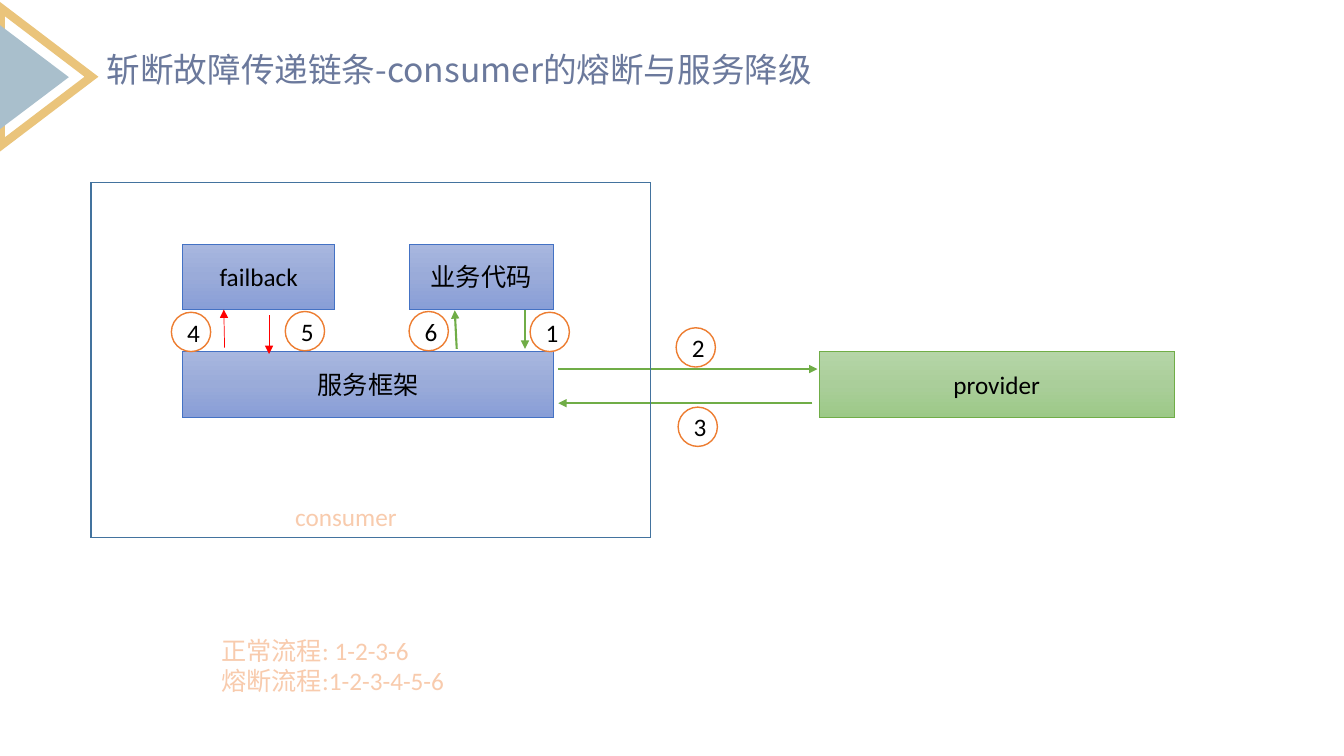
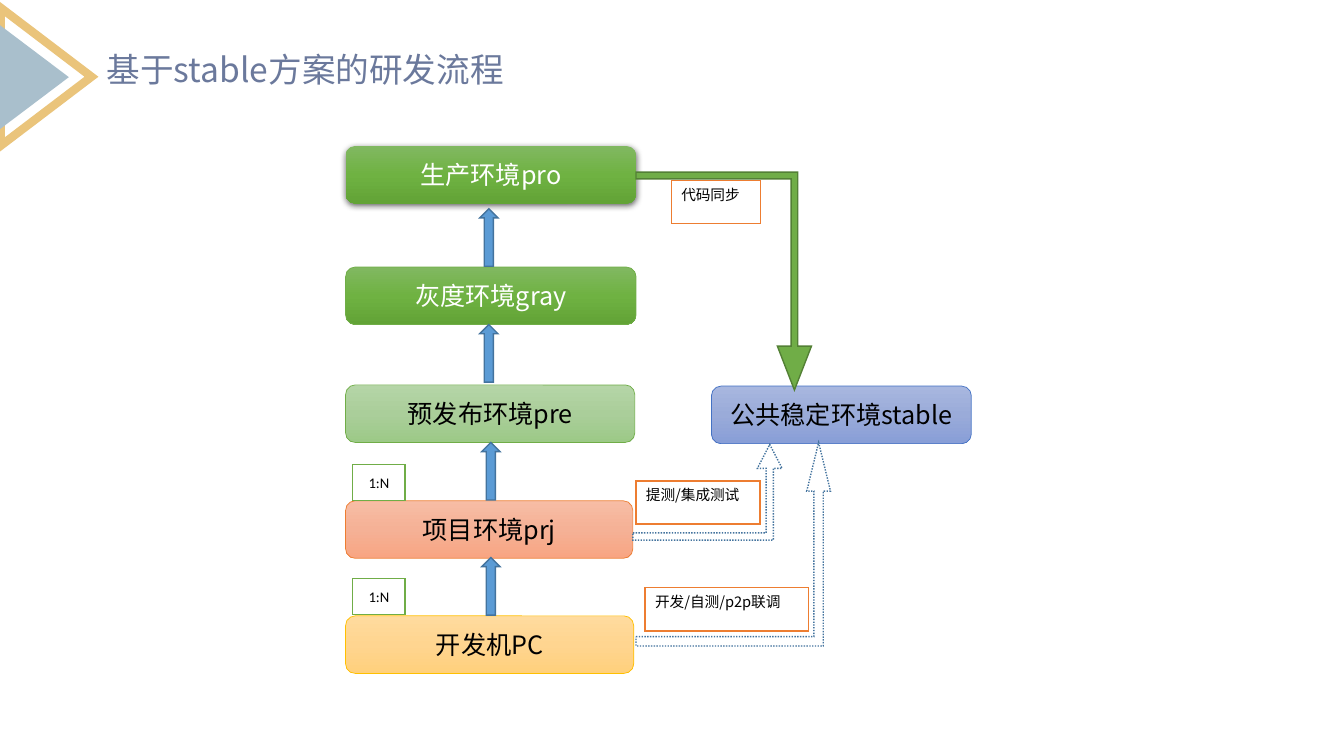
from copy import deepcopy

from lxml.etree import SubElement
from pptx import Presentation
from pptx.dml.color import RGBColor
from pptx.enum.dml import MSO_LINE
from pptx.enum.shapes import MSO_CONNECTOR, MSO_SHAPE
from pptx.enum.text import MSO_ANCHOR, MSO_AUTO_SIZE, PP_ALIGN
from pptx.oxml.ns import qn
from pptx.util import Cm, Pt

SANS = "Noto Sans CJK SC"
LATIN = "Calibri"
BLACK, WHITE, RED = "000000", "FFFFFF", "FF0000"
GREEN, ORANGE, BLUE = "70AD47", "ED7D31", "43739E"
PEACH, TITLE = "F8CBAD", "6B799C"
SOFT_BLUE = (("A8B7DF", "9AABD9", "889ED7"), "4472C4")
SOFT_GREEN = (("B5D5A7", "AACE9A", "9CC987"), GREEN)
SOFT_ORANGE = (("F7BDA5", "F5B196", "F8A582"), ORANGE)
SOFT_YELLOW = (("FFDB9E", "FFD590", "FFD07C"), "FFC000")
STRONG_GREEN = (("81B861", "6FB242", "62A336"), GREEN)


def rgb(value):
    return RGBColor.from_string(value)


class Deck:
    def __init__(self):
        self.prs = Presentation()
        self.prs.slide_width = Cm(33.87)
        self.prs.slide_height = Cm(19.05)
        self.s = None

    def slide(self, title, width):
        self.s = self.prs.slides.add_slide(self.prs.slide_layouts[6])
        frame = self.shape(MSO_SHAPE.ISOSCELES_TRIANGLE, (-0.58, 0.79, 3.48, 2.29),
                           line="EAC47B", weight=6)
        core = self.shape(MSO_SHAPE.ISOSCELES_TRIANGLE, (-0.46, 1.07, 2.64, 1.75),
                          fill="A9BFCC")
        for sp in (frame, core):
            sp.rotation = 90
        self.textbox(title, (2.44, 1.12, width, 1.27), 24, SANS, TITLE)

    def set_text(self, tf, text, size, font, color, align=None, outline=None):
        tf.word_wrap = True
        tf.text = text
        for p in tf.paragraphs:
            p.alignment = align
            for r in p.runs:
                r.font.size = Pt(size)
                r.font.name = font
                r.font.color.rgb = rgb(color)
                props = r.font._element
                SubElement(props, qn("a:ea"), typeface=SANS)
                if outline:
                    ln = SubElement(props, qn("a:ln"), w=str(Pt(1.75)))
                    fill = SubElement(ln, qn("a:solidFill"))
                    SubElement(fill, qn("a:srgbClr"), val=outline)
                    props.insert(0, ln)

    def textbox(self, text, box, size, font, color, outline=None):
        tf = self.s.shapes.add_textbox(*map(Cm, box)).text_frame
        self.set_text(tf, text, size, font, color, outline=outline)
        tf.auto_size = MSO_AUTO_SIZE.SHAPE_TO_FIT_TEXT

    def shape(self, kind, box, fill=None, line=None, weight=1, dash=None):
        sp = self.s.shapes.add_shape(kind, *map(Cm, box))
        sp.shadow.inherit = False
        if fill is None:
            sp.fill.background()
        elif isinstance(fill, str):
            sp.fill.solid()
            sp.fill.fore_color.rgb = rgb(fill)
        else:
            self.gradient(sp, fill)
        if line is None:
            sp.line.fill.background()
        else:
            sp.line.color.rgb = rgb(line)
            sp.line.width = Pt(weight)
            if dash:
                sp.line.dash_style = dash
            ln = sp.element.spPr.find(qn("a:ln"))
            SubElement(ln, qn("a:miter"), lim="800000")
        return sp

    def gradient(self, sp, colors):
        sp.fill.gradient()
        sp.fill.gradient_angle = 270
        stops = sp.element.spPr.find(".//" + qn("a:gsLst"))
        stops.insert(1, deepcopy(stops[0]))
        for i, (stop, color) in enumerate(zip(sp.fill.gradient_stops, colors)):
            stop.position = i / 2
            stop.color.rgb = rgb(color)

    def block(self, text, box, style, font=LATIN, color=BLACK, kind=MSO_SHAPE.RECTANGLE):
        fill, line = style
        sp = self.shape(kind, box, fill, line, 0.5)
        self.set_text(sp.text_frame, text, 18, font, color, PP_ALIGN.CENTER)
        return sp

    def rounded(self, text, box, style, color=BLACK):
        return self.block(text, box, style, SANS, color, MSO_SHAPE.ROUNDED_RECTANGLE)

    def step(self, number, x, y):
        sp = self.shape(MSO_SHAPE.OVAL, (x, y, 0.99, 0.99), WHITE, ORANGE)
        self.set_text(sp.text_frame, number, 18, LATIN, BLACK, PP_ALIGN.CENTER)

    def label(self, text, box):
        sp = self.shape(MSO_SHAPE.RECTANGLE, box, WHITE, ORANGE)
        sp.text_frame.vertical_anchor = MSO_ANCHOR.TOP
        self.set_text(sp.text_frame, text, 10.5, SANS, BLACK, PP_ALIGN.JUSTIFY)

    def ratio(self, text, x, y):
        sp = self.shape(MSO_SHAPE.RECTANGLE, (x, y, 1.32, 0.91), WHITE, GREEN)
        self.set_text(sp.text_frame, text, 10.5, LATIN, BLACK, PP_ALIGN.CENTER)

    def arrow(self, points, color, weight):
        c = self.s.shapes.add_connector(MSO_CONNECTOR.STRAIGHT, *map(Cm, points))
        c.line.color.rgb = rgb(color)
        c.line.width = Pt(weight)
        props = c.element.spPr
        SubElement(props.find(qn("a:ln")), qn("a:tailEnd"), type="triangle")
        SubElement(props, qn("a:effectLst"))

    def bent_arrow(self, box, adjustments, fill, line, dash=None, flip=False):
        sp = self.shape(MSO_SHAPE.BENT_UP_ARROW, box, fill, line, dash=dash)
        for i, value in enumerate(adjustments):
            sp.adjustments[i] = value
        if flip:
            sp.element.spPr.find(qn("a:xfrm")).set("flipV", "1")

    def drop_shadow(self, sp):
        effects = sp.element.spPr.find(qn("a:effectLst"))
        shadow = SubElement(effects, qn("a:outerShdw"), blurRad=str(Pt(4.5)),
                            dist=str(Pt(1.5)), dir="5400000", algn="ctr", rotWithShape="0")
        color = SubElement(shadow, qn("a:srgbClr"), val=BLACK)
        SubElement(color, qn("a:alpha"), val="63000")


def circuit_breaker(deck):
    deck.slide("斩断故障传递链条-consumer的熔断与服务降级", 18.59)
    for text, box, style in (
        ("provider", (20.65, 8.86, 8.94, 1.65), SOFT_GREEN),
        ("业务代码", (10.31, 6.15, 3.63, 1.65), SOFT_BLUE),
        ("服务框架", (4.6, 8.86, 9.35, 1.65), SOFT_BLUE),
        ("failback", (4.6, 6.15, 3.84, 1.65), SOFT_BLUE),
    ):
        deck.block(text, box, style)
    for points in ((14.07, 9.3, 20.6, 9.3), (20.47, 10.16, 14.07, 10.16),
                   (13.23, 7.82, 13.23, 8.79), (11.51, 8.79, 11.46, 7.82)):
        deck.arrow(points, GREEN, 1.5)
    for points in ((5.66, 8.76, 5.64, 7.8), (6.78, 7.95, 6.78, 8.92)):
        deck.arrow(points, RED, 0.5)
    deck.shape(MSO_SHAPE.RECTANGLE, (2.29, 4.6, 14.1, 8.94), line=BLUE)
    deck.textbox("consumer", (7.19, 12.52, 3.63, 1.02), 18, LATIN, PEACH, ORANGE)
    for number, x, y in (("2", 17.04, 8.26), ("1", 13.36, 7.87), ("3", 17.09, 10.26),
                         ("6", 10.31, 7.85), ("4", 4.32, 7.87), ("5", 7.19, 7.85)):
        deck.step(number, x, y)
    deck.textbox("正常流程: 1-2-3-6\n熔断流程:1-2-3-4-5-6", (5.33, 15.88, 20.27, 1.8),
                 18, LATIN, PEACH, ORANGE)


def stable_workflow(deck):
    deck.slide("基于stable方案的研发流程", 11.33)
    left, height = 8.71, 1.45
    pro = deck.rounded("生产环境pro", (left, 3.68, 7.32, height),
                       (STRONG_GREEN[0], None), WHITE)
    deck.drop_shadow(pro)
    for text, y, width, style, color in (
        ("灰度环境gray", 6.73, 7.32, STRONG_GREEN, WHITE),
        ("预发布环境pre", 9.7, 7.29, SOFT_GREEN, BLACK),
        ("项目环境prj", 12.62, 7.24, SOFT_ORANGE, BLACK),
        ("开发机PC", 15.52, 7.26, SOFT_YELLOW, BLACK),
    ):
        deck.rounded(text, (left, y, width, height), style, color)
    deck.rounded("公共稳定环境stable", (17.93, 9.73, 6.55, height), SOFT_BLUE)
    for box, adjustments in (((15.95, 11.2, 3.76, 2.41), (0.075, 0.129, 0.25)),
                             ((16.03, 11.15, 4.9, 5.13), (0.048, 0.061, 0.25))):
        deck.bent_arrow(box, adjustments, WHITE, BLUE, MSO_LINE.ROUND_DOT)
    deck.bent_arrow((16.03, 4.34, 4.42, 5.49), (0.038, 0.097, 0.25),
                    GREEN, "538035", flip=True)
    for text, box in (("提测/集成测试", (16.03, 12.12, 3.12, 1.09)),
                      ("开发/自测/p2p联调", (16.26, 14.81, 4.11, 1.09)),
                      ("代码同步", (16.92, 4.55, 2.24, 1.09))):
        deck.label(text, box)
    for x, y in ((12.09, 5.26), (12.09, 8.18), (12.14, 11.15), (12.14, 14.05)):
        deck.shape(MSO_SHAPE.UP_ARROW, (x, y, 0.46, height), "5B9BD5", BLUE)
    for y in (11.71, 14.58):
        deck.ratio("1:N", 8.89, y)


def main():
    deck = Deck()
    circuit_breaker(deck)
    stable_workflow(deck)
    deck.prs.save("out.pptx")


if __name__ == "__main__":
    main()
